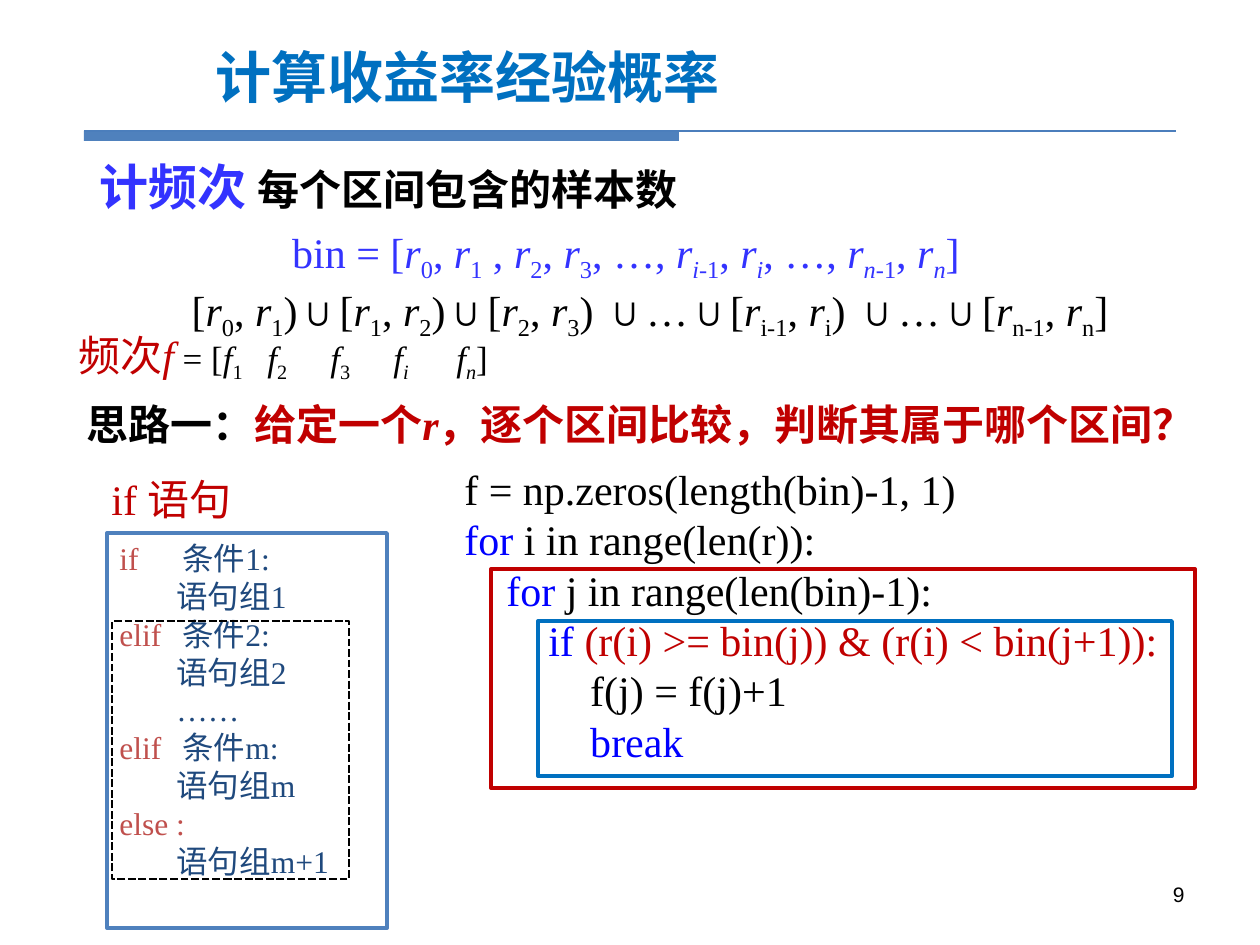
from lxml.etree import SubElement
from pptx import Presentation
from pptx.dml.color import RGBColor
from pptx.enum.dml import MSO_LINE
from pptx.enum.shapes import MSO_CONNECTOR, MSO_SHAPE
from pptx.enum.text import MSO_ANCHOR, PP_ALIGN
from pptx.oxml.ns import qn
from pptx.util import Emu, Pt

BLACK = RGBColor(0x00, 0x00, 0x00)
WHITE = RGBColor(0xFF, 0xFF, 0xFF)
TITLE_BLUE = RGBColor(0x00, 0x70, 0xC0)
VIOLET = RGBColor(0x33, 0x33, 0xFF)
KEYWORD = RGBColor(0x00, 0x00, 0xFF)
RED = RGBColor(0xC0, 0x00, 0x00)
SOFT_RED = RGBColor(0xC0, 0x50, 0x4D)
NAVY = RGBColor(0x1F, 0x49, 0x7D)
STEEL = RGBColor(0x4F, 0x81, 0xBD)
RULE_BLUE = RGBColor(0x4B, 0x7E, 0xBC)
HEI = "Noto Sans CJK SC"
TIMES = "Times New Roman"


def run(text, color=BLACK, size=24, font=TIMES, bold=False, italic=False, sub=False):
    return dict(text=text, color=color, size=size, font=font,
                bold=bold, italic=italic, sub=sub)


def indexed(letter, letters="", digits="", **style):
    parts = [run(letter, italic=True, **style)]
    if letters:
        parts.append(run(letters, italic=True, sub=True, **style))
    if digits:
        parts.append(run(digits, sub=True, **style))
    return parts


def bin_edges():
    edges = [("", "0", ", "), ("", "1", " , "), ("", "2", ", "), ("", "3", ", …, "),
             ("i", "-1", ", "), ("i", "", ", …, "), ("n", "-1", ", "), ("n", "", "]")]
    runs = [run("bin = [", VIOLET)]
    for letters, digits, after in edges:
        runs += indexed("r", letters, digits, color=VIOLET) + [run(after, VIOLET)]
    return runs


def interval_union():
    intervals = [("0", "1", ")∪["), ("1", "2", ")∪["), ("2", "3", ") ∪…∪["),
                 ("i-1", "i", ") ∪…∪["), ("n-1", "n", "]")]
    runs = [run("[")]
    for low, high, after in intervals:
        runs += indexed("r", digits=low) + [run(", ")]
        runs += indexed("r", digits=high) + [run(after)]
    return runs


def frequencies():
    runs = [run("频次", RED, font=HEI), run("f", RED, italic=True),
            run(" = [", size=20)]
    for letters, digits, after in [("", "1", "\t"), ("", "2", "\t"), ("", "3", "\t"),
                                   ("i", "", "\t"), ("n", "", "]")]:
        runs += indexed("f", letters, digits, size=20) + [run(after, size=20)]
    return runs


TITLE = [run("计算收益率经验概率", TITLE_BLUE, 32, HEI, True)]
COUNTING = [run("计频次 ", VIOLET, 28, HEI, True),
            run("每个区间包含的样本数", font=HEI, bold=True)]
IDEA = [run("思路一：", font=HEI, bold=True),
        run("给定一个", RED, font=HEI, bold=True),
        run("r", RED, bold=True, italic=True),
        run("，逐个区间比较，判断其属于哪个区间？", RED, font=HEI, bold=True)]
IF_HEADING = [run("if 语句", RED)]
PAGE_NUMBER = [run("9", size=12, font="Arial")]
FREQUENCY_TABS = [297, 449, 688, 948]

IF_SYNTAX = [("if", "条件1:"), ("", "语句组1"), ("elif", "条件2:"), ("", "语句组2"),
             ("", "……"), ("elif", "条件m:"), ("", "语句组m"), ("else :", ""),
             ("", "语句组m+1")]
CONDITION_TABS = {"if": [43], "elif": [66]}
BODY_INDENT = 57

CODE = [
    [("f = np.zeros(length(bin)-1, 1)", BLACK)],
    [("for ", KEYWORD), ("i in range(len(r)):", BLACK)],
    [("    for ", KEYWORD), ("j in range(len(bin)-1):", BLACK)],
    [("        if ", KEYWORD), ("(r(i) >= bin(j)) & (r(i) < bin(j+1)):", RED)],
    [("            f(j) = f(j)+1", BLACK)],
    [("            break", KEYWORD)],
]


def px(value):
    return Emu(round(value * 914400 / 126))


def fill_paragraph(paragraph, runs, align=PP_ALIGN.LEFT, tabs=(), indent=0):
    paragraph.alignment = align
    properties = paragraph._p.get_or_add_pPr()
    properties.set("marL", str(px(indent)))
    properties.set("indent", "0")
    if tabs:
        tab_list = SubElement(properties, qn("a:tabLst"))
        for tab in tabs:
            SubElement(tab_list, qn("a:tab"), pos=str(px(tab)), algn="l")
    for item in runs:
        piece = paragraph.add_run()
        piece.text = item["text"]
        font = piece.font
        font.size = Pt(item["size"])
        font.name = item["font"]
        font.bold = item["bold"]
        font.italic = item["italic"]
        font.color.rgb = item["color"]
        run_properties = piece._r.get_or_add_rPr()
        SubElement(run_properties, qn("a:ea"), typeface=HEI)
        if item["sub"]:
            run_properties.set("baseline", "-25000")


def fill_frame(frame, paragraphs, anchor=MSO_ANCHOR.TOP, wrap=True):
    frame.word_wrap = wrap
    frame.vertical_anchor = anchor
    for number, options in enumerate(paragraphs):
        paragraph = frame.add_paragraph() if number else frame.paragraphs[0]
        fill_paragraph(paragraph, **options)


def add_text(slide, box, paragraphs, **options):
    shape = slide.shapes.add_textbox(*map(px, box))
    fill_frame(shape.text_frame, paragraphs, **options)


def add_box(slide, box, fill=None, line=None, width=2.25, dash=None):
    shape = slide.shapes.add_shape(MSO_SHAPE.RECTANGLE, *map(px, box))
    shape.shadow.inherit = False
    if fill is None:
        shape.fill.background()
    else:
        shape.fill.solid()
        shape.fill.fore_color.rgb = fill
    if line is None:
        shape.line.fill.background()
    else:
        shape.line.color.rgb = line
        shape.line.width = Pt(width)
        if dash:
            shape.line.dash_style = dash
    return shape


def syntax_paragraph(keyword, body):
    runs = []
    if keyword:
        runs.append(run(keyword + ("\t" if body else ""), SOFT_RED, 18))
    if body:
        runs.append(run(body, NAVY, 18))
    return dict(runs=runs, tabs=CONDITION_TABS.get(keyword, ()),
                indent=0 if keyword else BODY_INDENT)


def main():
    presentation = Presentation()
    presentation.slide_width, presentation.slide_height = px(1260), px(945)
    slide = presentation.slides.add_slide(presentation.slide_layouts[6])

    add_box(slide, (84, 131, 595, 10), fill=STEEL)
    rule = slide.shapes.add_connector(MSO_CONNECTOR.STRAIGHT, px(84), px(131), px(1176), px(131))
    rule.line.color.rgb = RULE_BLUE
    rule.line.width = Pt(1.5)
    SubElement(rule._element.spPr, qn("a:effectLst"))

    add_text(slide, (203, 26, 1037, 100), [dict(runs=TITLE)], anchor=MSO_ANCHOR.MIDDLE)
    add_text(slide, (87, 150, 741, 72), [dict(runs=COUNTING)])
    syntax_box = add_box(slide, (107, 533, 280, 395), WHITE, STEEL)
    fill_frame(syntax_box.text_frame, [syntax_paragraph(*line) for line in IF_SYNTAX])
    add_text(slide, (99, 467, 175, 63), [dict(runs=IF_HEADING)])
    add_box(slide, (112, 621, 237, 258), line=BLACK, width=1.5, dash=MSO_LINE.SQUARE_DOT)
    add_text(slide, (452, 457, 754, 420),
             [dict(runs=[run(*part) for part in line]) for line in CODE])
    add_text(slide, (74, 392, 1150, 63), [dict(runs=IDEA)], wrap=False)
    add_text(slide, (149, 278, 1002, 63), [dict(runs=interval_union(), align=PP_ALIGN.CENTER)])
    add_box(slide, (491, 569, 704, 219), line=RED)
    add_box(slide, (538, 621, 634, 155), line=TITLE_BLUE)
    add_text(slide, (234, 220, 784, 63), [dict(runs=bin_edges(), align=PP_ALIGN.CENTER)])
    add_text(slide, (66, 323, 1096, 63), [dict(runs=frequencies(), tabs=FREQUENCY_TABS)])
    add_text(slide, (903, 861, 294, 66), [dict(runs=PAGE_NUMBER, align=PP_ALIGN.RIGHT)],
             anchor=MSO_ANCHOR.MIDDLE)
    presentation.save("out.pptx")


if __name__ == "__main__":
    main()
